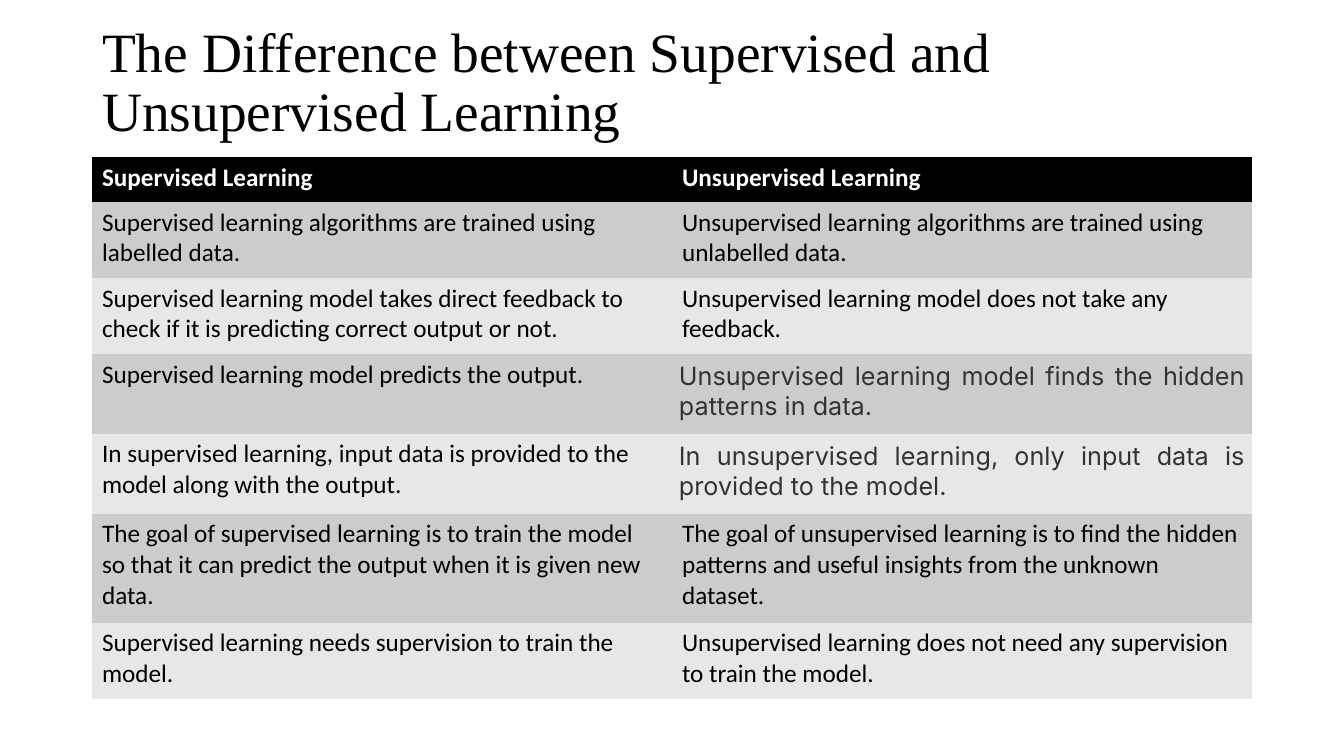
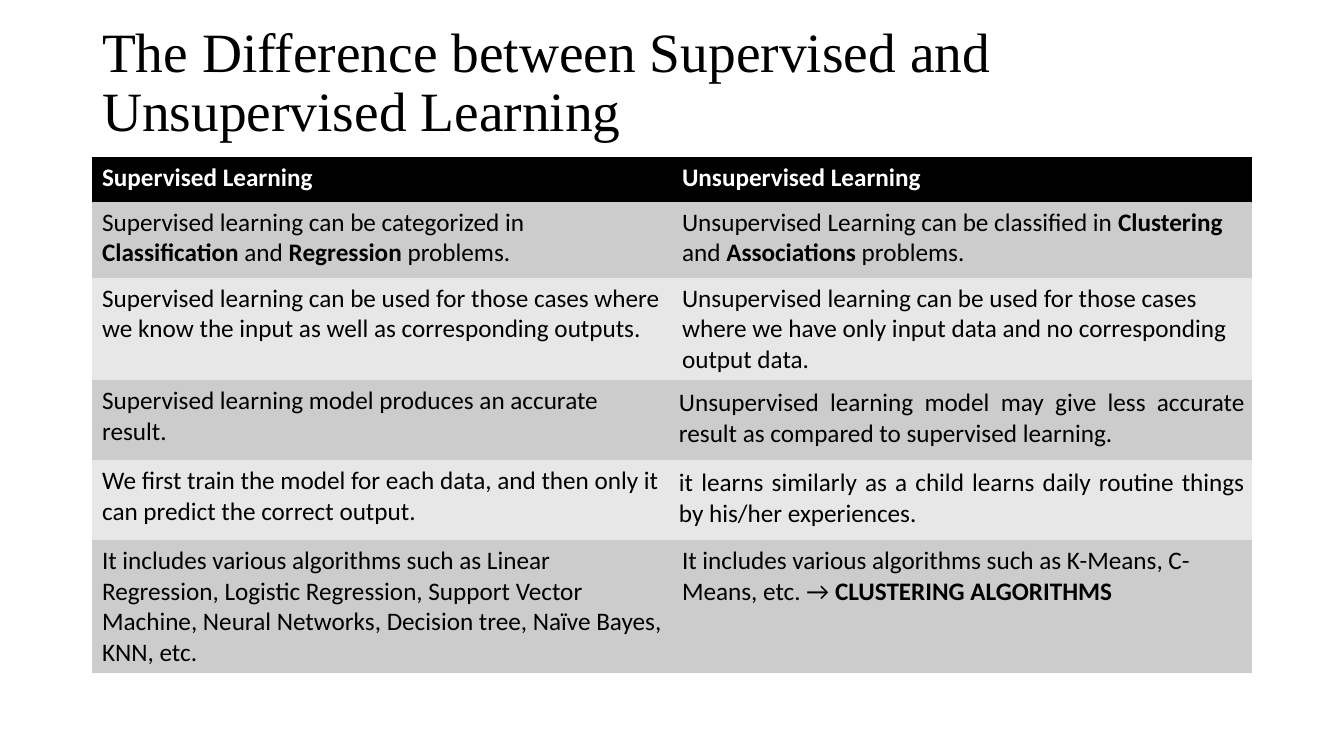
from dataclasses import dataclass

from pptx import Presentation
from pptx.dml.color import RGBColor
from pptx.enum.text import MSO_ANCHOR, MSO_AUTO_SIZE, PP_ALIGN
from pptx.oxml.ns import qn
from pptx.util import Emu, Pt

BLACK = RGBColor(0x00, 0x00, 0x00)
WHITE = RGBColor(0xFF, 0xFF, 0xFF)
CHARCOAL = RGBColor(0x33, 0x33, 0x33)
BANDS = (RGBColor(0xCC, 0xCC, 0xCC), RGBColor(0xE7, 0xE7, 0xE7))

PX_PER_INCH = 100.8
TITLE_BOX = (92, 11, 1160, 146)
TABLE_BOX = (92, 157, 1160)
HEADER_HEIGHT = 45
JUSTIFIED_INSET = 7
NO_GRID_STYLE = "{2D5ABB26-0587-4C30-8999-92F81FD0307C}"

TITLE = "The Difference between Supervised and Unsupervised Learning"
HEADINGS = ("Supervised Learning", "Unsupervised Learning")


@dataclass(frozen=True)
class CellStyle:
    color: RGBColor = BLACK
    font: str = "Calibri"
    bold: bool = False
    justified: bool = False


HEADER = CellStyle(color=WHITE, bold=True)
PLAIN = CellStyle()
JUSTIFIED = CellStyle(justified=True)
JUSTIFIED_INTER = CellStyle(color=CHARCOAL, font="Inter", justified=True)

# Each row: height in px, left text, right text, style of the right cell.
# Text between ** marks is bold.
TRAINING_ROWS = (
    (76, "Supervised learning algorithms are trained using labelled data.",
     "Unsupervised learning algorithms are trained using unlabelled data.", PLAIN),
    (76, "Supervised learning model takes direct feedback to check if it is "
         "predicting correct output or not.",
     "Unsupervised learning model does not take any feedback.", PLAIN),
    (80, "Supervised learning model predicts the output.",
     "Unsupervised learning model finds the hidden patterns in data.", JUSTIFIED_INTER),
    (80, "In supervised learning, input data is provided to the model along "
         "with the output.",
     "In unsupervised learning, only input data is provided to the model.",
     JUSTIFIED_INTER),
    (109, "The goal of supervised learning is to train the model so that it can "
          "predict the output when it is given new data.",
     "The goal of unsupervised learning is to find the hidden patterns and "
     "useful insights from the unknown dataset.", PLAIN),
    (76, "Supervised learning needs supervision to train the model.",
     "Unsupervised learning does not need any supervision to train the model.", PLAIN),
)
USAGE_ROWS = (
    (76, "Supervised learning can be categorized in **Classification** and "
         "**Regression** problems.",
     "Unsupervised Learning can be classified in **Clustering** and "
     "**Associations** problems.", PLAIN),
    (102, "Supervised learning can be used for those cases where we know the "
          "input as well as corresponding outputs.",
     "Unsupervised learning can be used for those cases where we have only "
     "input data and no corresponding output data.", PLAIN),
    (80, "Supervised learning model produces an accurate result.",
     "Unsupervised learning model may give less accurate result as compared "
     "to supervised learning.", JUSTIFIED),
    (80, "We first train the model for each data, and then only it can predict "
         "the correct output.",
     "it learns similarly as a child learns daily routine things by his/her "
     "experiences.", JUSTIFIED),
    (133, "It includes various algorithms such as Linear Regression, Logistic "
          "Regression, Support Vector Machine, Neural Networks, Decision tree, "
          "Naïve Bayes, KNN, etc.",
     "It includes various algorithms such as K-Means, C-Means, etc. → "
     "**CLUSTERING ALGORITHMS**", PLAIN),
)


def px(length):
    return Emu(round(length * 914400 / PX_PER_INCH))


def place_title(page, box):
    title = page.shapes.title
    title.left, title.top, title.width, title.height = map(px, box)
    frame = title.text_frame
    frame.text = TITLE
    frame.word_wrap = True
    frame.auto_size = MSO_AUTO_SIZE.NONE
    frame.vertical_anchor = MSO_ANCHOR.MIDDLE
    para = frame.paragraphs[0]
    para.alignment = PP_ALIGN.LEFT
    para.line_spacing = 0.9
    para.font.size = Pt(39.6)
    para.font.name = "Times New Roman"
    para.font.color.rgb = BLACK


def fill_cell(cell, text, style, background):
    cell.fill.solid()
    cell.fill.fore_color.rgb = background
    para = cell.text_frame.paragraphs[0]
    para.font.size = Pt(18)
    para.font.name = style.font
    para.font.color.rgb = style.color
    para.font.bold = style.bold
    for index, words in enumerate(text.split("**")):
        if words:
            span = para.add_run()
            span.text = words
            if index % 2:
                span.font.bold = True
    if style.justified:
        para.alignment = PP_ALIGN.JUSTIFY
        cell.margin_left = cell.margin_right = px(JUSTIFIED_INSET)
        cell.margin_top = cell.margin_bottom = px(JUSTIFIED_INSET)


def place_comparison(page, box, rows):
    left, top, width = box
    heights = [HEADER_HEIGHT] + [row[0] for row in rows]
    table = page.shapes.add_table(
        len(heights), len(HEADINGS), px(left), px(top), px(width), px(sum(heights))
    ).table
    table._tbl.tblPr.find(qn("a:tableStyleId")).text = NO_GRID_STYLE
    for table_row, height in zip(table.rows, heights):
        table_row.height = px(height)
    for column, heading in enumerate(HEADINGS):
        fill_cell(table.cell(0, column), heading, HEADER, BLACK)
    for index, (_, left_text, right_text, right_style) in enumerate(rows):
        band = BANDS[index % 2]
        fill_cell(table.cell(index + 1, 0), left_text, PLAIN, band)
        fill_cell(table.cell(index + 1, 1), right_text, right_style, band)


def add_comparison_page(deck, rows):
    page = deck.slides.add_slide(deck.slide_layouts.get_by_name("Title Only"))
    place_title(page, TITLE_BOX)
    place_comparison(page, TABLE_BOX, rows)


def main():
    deck = Presentation()
    deck.slide_width, deck.slide_height = px(1344), px(756)
    for rows in (TRAINING_ROWS, USAGE_ROWS):
        add_comparison_page(deck, rows)
    deck.save("out.pptx")


if __name__ == "__main__":
    main()
